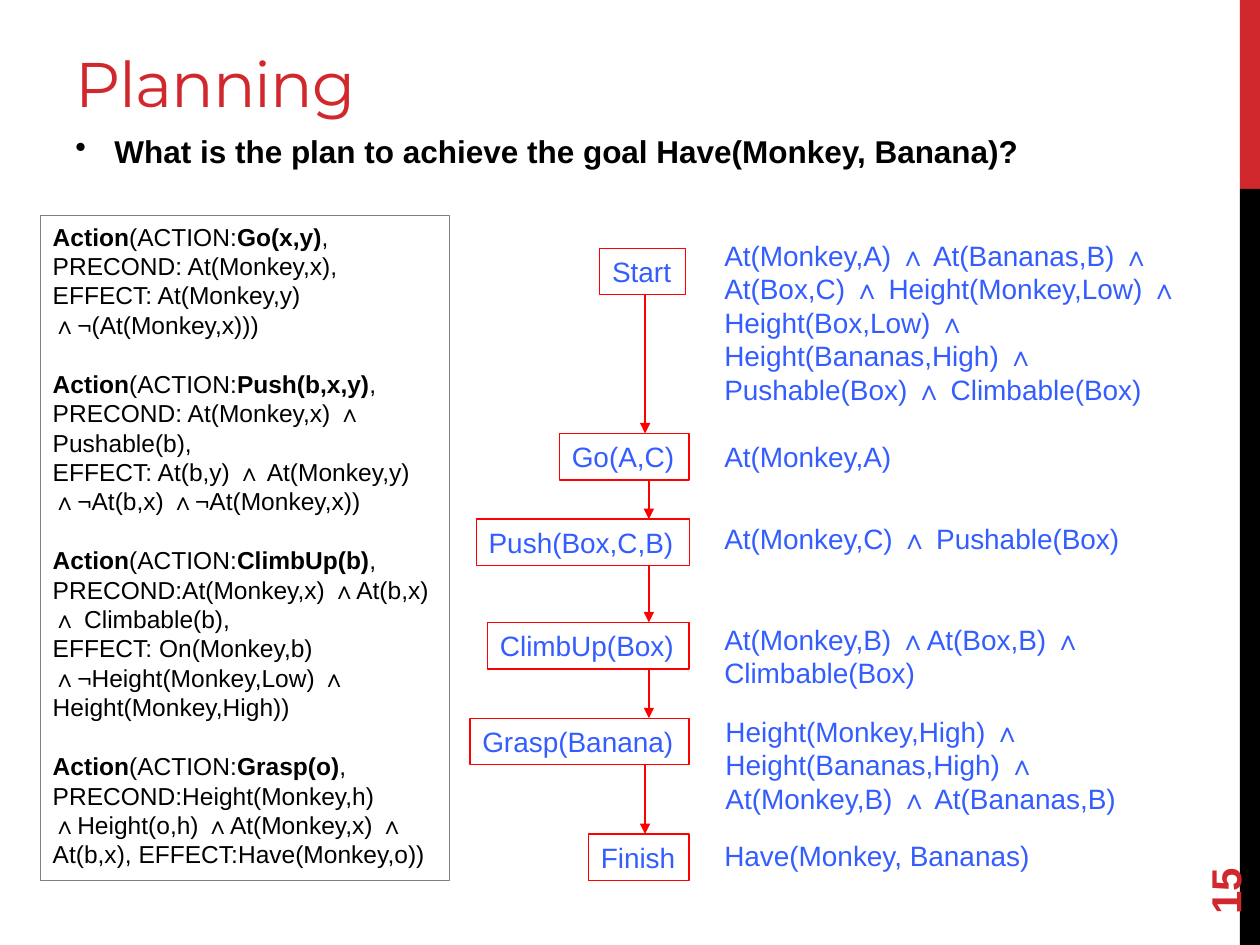
from lxml import etree
from pptx import Presentation
from pptx.dml.color import RGBColor
from pptx.enum.shapes import MSO_CONNECTOR, MSO_SHAPE
from pptx.enum.text import MSO_ANCHOR, PP_ALIGN
from pptx.oxml.ns import qn
from pptx.util import Emu, Pt

RECTANGLE = MSO_SHAPE.RECTANGLE
STRAIGHT = MSO_CONNECTOR.STRAIGHT
TOP, MIDDLE, BOTTOM = MSO_ANCHOR.TOP, MSO_ANCHOR.MIDDLE, MSO_ANCHOR.BOTTOM
LEFT = PP_ALIGN.LEFT

EMU_PER_PX = 9144
RED, BLACK, GREY = "D1282E", "000000", "808080"
BLUE, BRIGHT_RED = "345DFF", "FF0000"
LINE_PITCH = 1.2
STEP_HEIGHT = 37

ACTIONS = [
    ("Go(x,y)", ",", [
        "PRECOND: At(Monkey,x),",
        "EFFECT: At(Monkey,y) ∧¬(At(Monkey,x)))"]),
    ("Push(b,x,y)", ",", [
        "PRECOND: At(Monkey,x) ∧ Pushable(b),",
        "EFFECT: At(b,y) ∧ At(Monkey,y) ∧¬At(b,x) ∧¬At(Monkey,x))"]),
    ("ClimbUp(b)", ",", [
        "PRECOND:At(Monkey,x) ∧At(b,x) ∧ Climbable(b),",
        "EFFECT: On(Monkey,b) ∧¬Height(Monkey,Low) ∧ Height(Monkey,High))"]),
    ("Grasp(o)", ", PRECOND:Height(Monkey,h) ∧Height(o,h) ∧At(Monkey,x) ∧ "
                 "At(b,x), EFFECT:Have(Monkey,o))", []),
]

STEPS = [
    ("Start", 476, 197, 68),
    ("Go(A,C)", 444, 344, 103),
    ("Push(Box,C,B)", 378, 412, 169),
    ("ClimbUp(Box)", 387, 494, 160),
    ("Grasp(Banana)", 373, 570, 174),
    ("Finish", 467, 662, 80),
]
ARROW_X = [512, 515, 515, 515, 512]

STATES = [
    ("At(Monkey,A) ∧ At(Bananas,B) ∧ At(Box,C) ∧ Height(Monkey,Low) ∧ "
     "Height(Box,Low) ∧ Height(Bananas,High) ∧ Pushable(Box) ∧ Climbable(Box)",
     565, 184, 407, 145),
    ("At(Monkey,A)", 565, 344, 159, 37),
    ("At(Monkey,C) ∧ Pushable(Box)", 565, 409, 336, 37),
    ("At(Monkey,B) ∧At(Box,B) ∧ Climbable(Box)", 565, 489, 336, 64),
    ("Height(Monkey,High) ∧ Height(Bananas,High) ∧ At(Monkey,B) ∧ At(Bananas,B)",
     566, 562, 336, 91),
    ("Have(Monkey, Bananas)", 565, 661, 336, 37),
]


def px(*lengths):
    return [Emu(length * EMU_PER_PX) for length in lengths]


def color(value):
    return RGBColor.from_string(value)


def apply(target, values):
    for name, value in values.items():
        setattr(target, name, value)


class SlideBuilder:
    font = "Arial"

    def __init__(self, slide):
        self.slide = slide

    def rectangle(self, box, fill=None, line=None):
        shape = self.slide.shapes.add_shape(RECTANGLE, *px(*box))
        shape.shadow.inherit = False
        if fill:
            shape.fill.solid()
            shape.fill.fore_color.rgb = color(fill)
        else:
            shape.fill.background()
        if line:
            shape.line.color.rgb = color(line)
            shape.line.width = Pt(0.75)
        else:
            shape.line.fill.background()
        return shape

    def text_box(self, box):
        return self.slide.shapes.add_textbox(*px(*box))

    def add_text(self, shape, paragraphs, size, ink, font=None, bold=False,
                 anchor=TOP, wrap=True, **paragraph_format):
        frame = shape.text_frame
        apply(frame, {"word_wrap": wrap, "vertical_anchor": anchor})
        for index, runs in enumerate(paragraphs):
            paragraph = frame.add_paragraph() if index else frame.paragraphs[0]
            apply(paragraph, {"alignment": LEFT, **paragraph_format})
            for text, emphasis in runs:
                run = paragraph.add_run()
                run.text = text
                apply(run.font, {"name": font or self.font, "size": Pt(size),
                                 "bold": bold or emphasis})
                run.font.color.rgb = color(ink)
        return frame.paragraphs

    def label(self, shape, text, size, ink, **options):
        return self.add_text(shape, [[(text, False)]], size, ink, **options)[0]

    def bullet(self, paragraph, indent):
        properties = paragraph._p.get_or_add_pPr()
        width = px(indent)[0]
        properties.set("marL", str(width))
        properties.set("indent", str(-width))
        etree.SubElement(properties, qn("a:buChar"), char="•")

    def arrow(self, start, end):
        connector = self.slide.shapes.add_connector(STRAIGHT, *px(*start, *end))
        connector.line.color.rgb = color(BRIGHT_RED)
        connector.line.width = Pt(1)
        properties = connector._element.spPr
        etree.SubElement(properties.find(qn("a:ln")), qn("a:tailEnd"), type="triangle")
        etree.SubElement(properties, qn("a:effectLst"))


def add_heading(builder):
    builder.rectangle((984, 0, 16, 150), fill=RED)
    builder.rectangle((984, 150, 16, 600), fill=BLACK)
    title = builder.label(builder.text_box((50, -25, 824, 125)), "Planning", 36, RED,
                          font="Montserrat", anchor=BOTTOM)
    title.runs[0]._r.get_or_add_rPr().set("spc", "-60")
    question = builder.label(
        builder.text_box((50, 100, 851, 49)),
        "What is the plan to achieve the goal Have(Monkey, Banana)?", 18, BLACK,
        bold=True, space_before=Pt(3.6), space_after=Pt(6))
    builder.bullet(question, 31)
    number = builder.text_box((900, 644, 144, 40))
    number.rotation = 270
    builder.label(number, "15", 24, RED, bold=True, anchor=MIDDLE)


def add_actions(builder):
    size = 14
    pitch = Pt(size * LINE_PITCH)
    paragraphs, headings = [], []
    for name, ending, lines in ACTIONS:
        headings.append(len(paragraphs))
        paragraphs.append([("Action", True), ("(ACTION:", False),
                           (name, True), (ending, False)])
        paragraphs += [[(line, False)] for line in lines]
    panel = builder.rectangle((32, 171, 325, 528), line=GREY)
    added = builder.add_text(panel, paragraphs, size, BLACK, line_spacing=pitch)
    for index in headings[1:]:
        added[index].space_before = pitch


def add_plan(builder):
    pitch = Pt(16 * LINE_PITCH)
    for text, left, top, width in STEPS:
        box = builder.rectangle((left, top, width, STEP_HEIGHT), line=BRIGHT_RED)
        builder.label(box, text, 16, BLUE, wrap=False, line_spacing=pitch)
    for text, *box in STATES:
        builder.label(builder.text_box(box), text, 16, BLUE, line_spacing=pitch)
    for x, step, following in zip(ARROW_X, STEPS, STEPS[1:]):
        builder.arrow((x, step[2] + STEP_HEIGHT), (x, following[2]))


def main():
    presentation = Presentation()
    presentation.slide_width, presentation.slide_height = px(1000, 750)
    builder = SlideBuilder(presentation.slides.add_slide(presentation.slide_layouts[6]))
    add_heading(builder)
    add_actions(builder)
    add_plan(builder)
    presentation.save("out.pptx")


if __name__ == "__main__":
    main()
